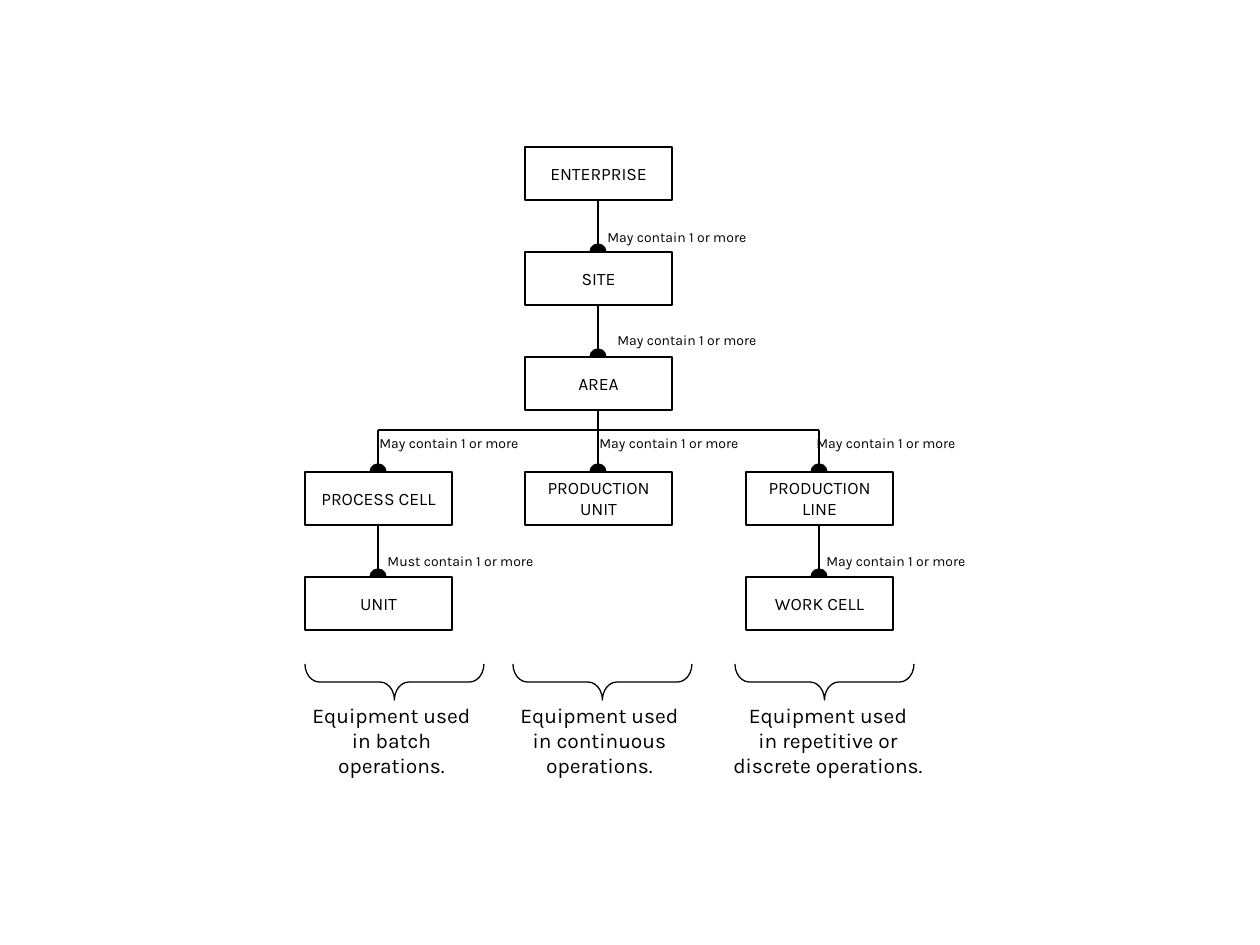
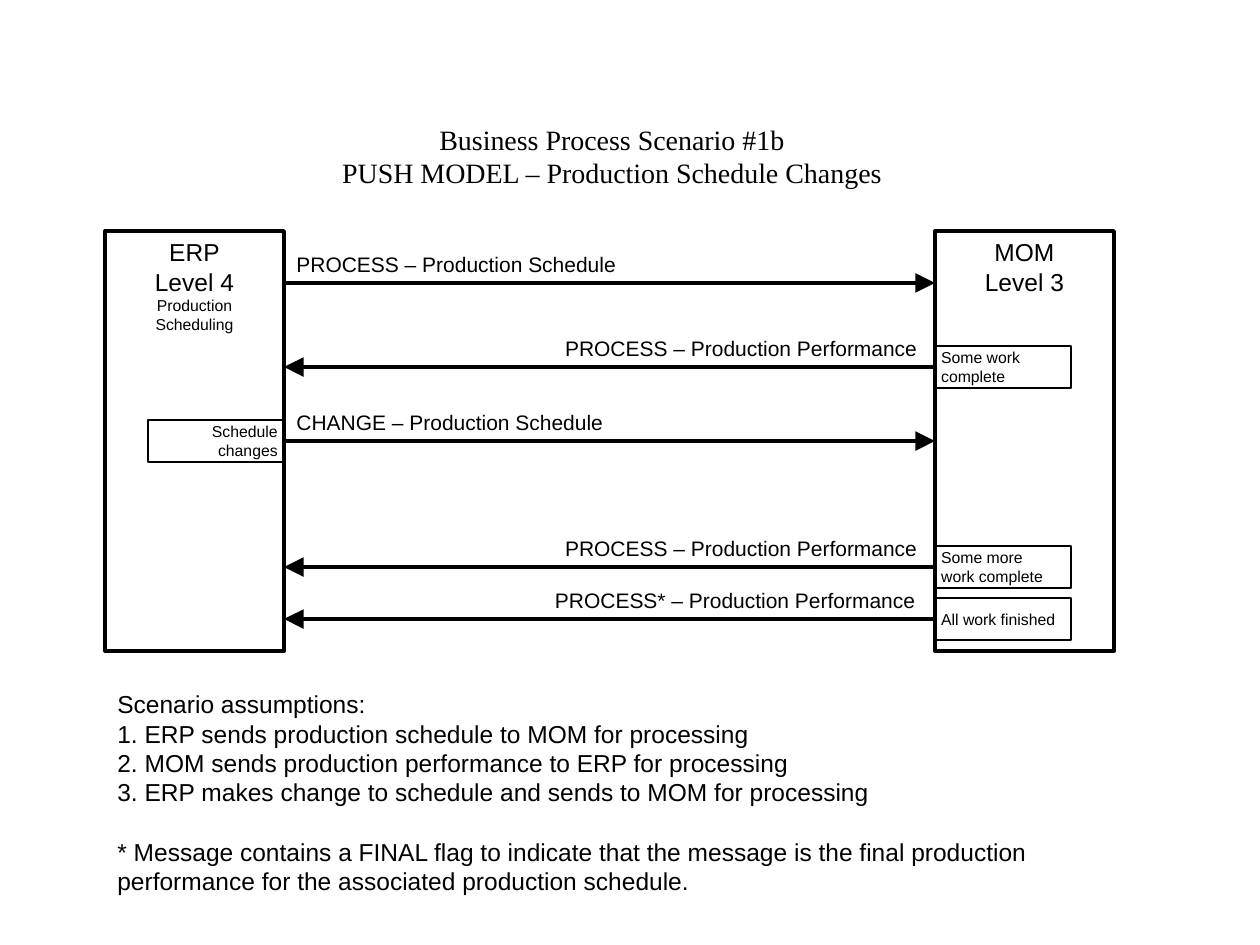
import pptx
import pptx.dml.color
import pptx.enum.shapes
import pptx.enum.text
import pptx.oxml
import pptx.oxml.ns
import pptx.util
import lxml.etree

BLACK = pptx.dml.color.RGBColor(0, 0, 0)
WHITE = pptx.dml.color.RGBColor(255, 255, 255)
EMU_PER_PIXEL = 914400 / 126
THIN, THICK = 0.74, 2.24
ALIGN = pptx.enum.text.PP_ALIGN
ANCHOR = pptx.enum.text.MSO_ANCHOR
SHAPE = pptx.enum.shapes.MSO_SHAPE
TITLE_ONLY, BLANK = 5, 6


def emu(pixels):
    return pptx.util.Emu(round(pixels * EMU_PER_PIXEL))


def write(frame, lines, size, font, align=ALIGN.LEFT, anchor=ANCHOR.TOP,
          side=0.1, wrap=False, small=None, last_gap=0):
    frame.word_wrap = wrap
    frame.auto_size = pptx.enum.text.MSO_AUTO_SIZE.NONE
    frame.vertical_anchor = anchor
    frame.margin_left = frame.margin_right = pptx.util.Inches(side)
    frame.margin_top = frame.margin_bottom = pptx.util.Inches(0.05)
    for index, line in enumerate(lines):
        para = frame.paragraphs[0] if index == 0 else frame.add_paragraph()
        para.alignment = align
        span = para.add_run()
        span.text = line
        span.font.size = pptx.util.Pt(small if line == lines[-1] and small else size)
        span.font.name = font
        span.font.color.rgb = BLACK
    if last_gap:
        para.space_before = pptx.util.Pt(last_gap)


class Page:
    def __init__(self, deck, layout, font):
        self.slide = deck.slides.add_slide(deck.slide_layouts[layout])
        self.shapes = self.slide.shapes
        self.font = font

    def title(self, left, top, width, height, lines, size, font):
        title = self.shapes.title
        title.left, title.top = emu(left), emu(top)
        title.width, title.height = emu(width), emu(height)
        write(title.text_frame, lines, size, font, align=ALIGN.CENTER)

    def text(self, left, top, width, height, lines, size, **style):
        box = self.shapes.add_textbox(emu(left), emu(top), emu(width), emu(height))
        write(box.text_frame, lines, size, self.font, **style)

    def outline(self, kind, left, top, width, height, weight=THIN, fill=None):
        shape = self.shapes.add_shape(kind, emu(left), emu(top), emu(width), emu(height))
        shape.shadow.inherit = False
        if fill is None:
            shape.fill.background()
        else:
            shape.fill.solid()
            shape.fill.fore_color.rgb = fill
        shape.line.color.rgb = BLACK
        shape.line.width = pptx.util.Pt(weight)
        return shape

    def box(self, left, top, width, height, lines, size, weight=THIN, fill=None, **style):
        shape = self.outline(SHAPE.RECTANGLE, left, top, width, height, weight, fill)
        write(shape.text_frame, lines, size, self.font, **style)

    def brace(self, left, top, width, height):
        brace = self.outline(SHAPE.LEFT_BRACE, left + (width - height) / 2,
                             top + (height - width) / 2, height, width)
        brace.rotation = 270
        brace.adjustments[0] = 0.4

    def line(self, start, end, weight=THIN, tip=None):
        line = self.shapes.add_connector(
            pptx.enum.shapes.MSO_CONNECTOR.STRAIGHT,
            emu(start[0]), emu(start[1]), emu(end[0]), emu(end[1]))
        line.line.color.rgb = BLACK
        line.line.width = pptx.util.Pt(weight)
        if tip:
            lxml.etree.SubElement(line.line._get_or_add_ln(), pptx.oxml.ns.qn("a:tailEnd"),
                                  type=tip, w="lg", len="lg")
        lxml.etree.SubElement(line._element.spPr, pptx.oxml.ns.qn("a:effectLst"))


def equipment_hierarchy(deck):
    page = Page(deck, BLANK, "Karla")
    left, middle, right = 378, 598, 819
    enterprise, site, area, cells, units = 147, 252, 357, 472, 577
    box_width, box_height, branch = 147, 53, 430

    page.line((left, branch), (right, branch))
    for center, start, end in [
        (middle, enterprise + box_height, site),
        (middle, site + box_height, area),
        (middle, area + box_height, cells),
        (left, branch, cells),
        (right, branch, cells),
        (left, cells + box_height, units),
        (right, cells + box_height, units),
    ]:
        page.line((center, start), (center, end), tip="oval")

    for label_left, top, verb in [
        (595, 222, "May"), (605, 325, "May"),
        (367, 428, "May"), (587, 428, "May"), (804, 428, "May"),
        (375, 546, "Must"), (814, 546, "May"),
    ]:
        page.text(label_left, top, 180 if verb == "Must" else 174, 30,
                  [verb + " contain 1 or more"], 8, anchor=ANCHOR.MIDDLE)

    for center, top, lines in [
        (middle, enterprise, ["ENTERPRISE"]),
        (middle, site, ["SITE"]),
        (middle, area, ["AREA"]),
        (left, cells, ["PROCESS CELL"]),
        (middle, cells, ["PRODUCTION", "UNIT"]),
        (right, cells, ["PRODUCTION", "LINE"]),
        (left, units, ["UNIT"]),
        (right, units, ["WORK CELL"]),
    ]:
        page.box(center - 73, top, box_width, box_height, lines, 10, fill=WHITE,
                 align=ALIGN.CENTER, anchor=ANCHOR.MIDDLE)

    for brace_left, text_left, width, ending in [
        (305, 298, 187, ["in batch", "operations."]),
        (513, 506, 187, ["in continuous", "operations."]),
        (735, 718, 220, ["in repetitive or", "discrete operations."]),
    ]:
        page.brace(brace_left, 664, 179, 36)
        page.text(text_left, 696, width, 88, ["Equipment used"] + ending, 12,
                  align=ALIGN.CENTER)


def push_model(deck):
    page = Page(deck, TITLE_ONLY, "Arial")
    erp_left, mom_left, system_width = 105, 935, 179
    erp_edge = erp_left + system_width
    note_width, note_height = 136, 42

    page.title(329, 116, 566, 81, ["Business Process Scenario #1b",
               "PUSH MODEL – Production Schedule Changes"], 16, "Times New Roman")
    for left, lines, small in [
        (erp_left, ["ERP", "Level 4", "Production Scheduling"], 9),
        (mom_left, ["MOM", "Level 3"], None),
    ]:
        page.box(left, 231, system_width, 420, lines, 14, weight=THICK, fill=WHITE,
                 align=ALIGN.CENTER, wrap=True, small=small)

    for y, to_mom, message, left, width in [
        (283, True, "PROCESS – Production Schedule", erp_edge, 345),
        (367, False, "PROCESS – Production Performance", 552, 378),
        (441, True, "CHANGE – Production Schedule", erp_edge, 331),
        (567, False, "PROCESS – Production Performance", 552, 378),
        (619, False, "PROCESS* – Production Performance", 542, 386),
    ]:
        ends = [(erp_edge, y), (mom_left, y)]
        start, end = ends if to_mom else reversed(ends)
        page.line(start, end, weight=THICK, tip="triangle")
        page.text(left, y - 38, width, 38, [message], 12,
                  align=ALIGN.LEFT if to_mom else ALIGN.RIGHT)

    for left, y, lines, align in [
        (mom_left, 367, ["Some work", "complete"], ALIGN.LEFT),
        (erp_edge - note_width, 441, ["Schedule", "changes"], ALIGN.RIGHT),
        (mom_left, 567, ["Some more", "work complete"], ALIGN.LEFT),
        (mom_left, 619, ["All work finished"], ALIGN.LEFT),
    ]:
        page.box(left, y - note_height / 2, note_width, note_height, lines, 9,
                 align=align, anchor=ANCHOR.MIDDLE, side=0.05)

    page.text(105, 683, 1008, 189, [
        "Scenario assumptions:",
        "1. ERP sends production schedule to MOM for processing",
        "2. MOM sends production performance to ERP for processing",
        "3. ERP makes change to schedule and sends to MOM for processing",
        "* Message contains a FINAL flag to indicate that the message is the final "
        "production performance for the associated production schedule.",
    ], 14, wrap=True, last_gap=17)


deck = pptx.Presentation()
deck.slide_width = emu(1260)
deck.slide_height = emu(945)
equipment_hierarchy(deck)
push_model(deck)
deck.save("out.pptx")
